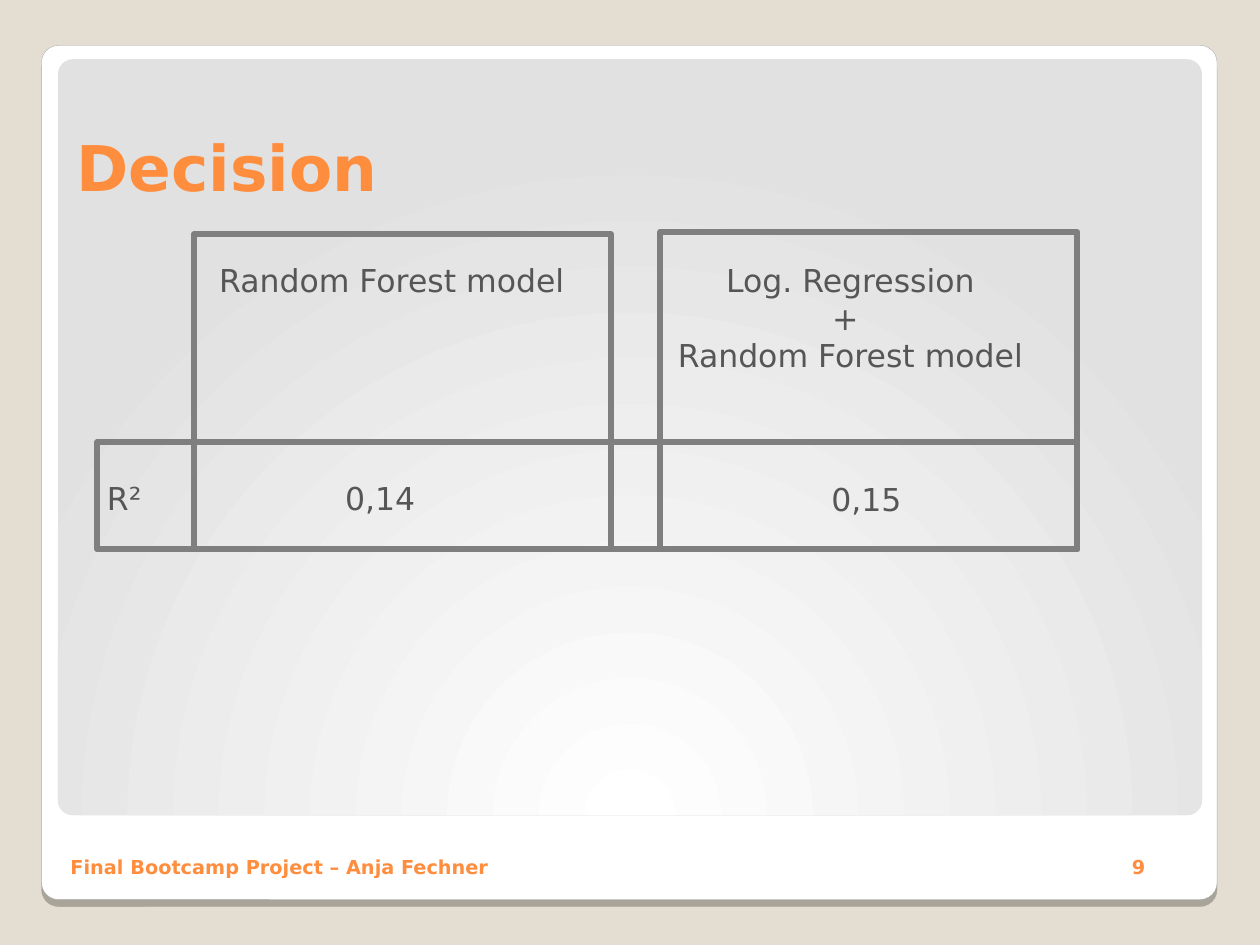
"""Build the Decision slide comparing the R² of two models."""
import pptx
import pptx.dml.color
import pptx.enum.shapes
import pptx.enum.text
import pptx.oxml
import pptx.oxml.ns
import pptx.util

Inches, Pt = pptx.util.Inches, pptx.util.Pt
RGB = pptx.dml.color.RGBColor.from_string
SHAPE = pptx.enum.shapes.MSO_SHAPE
ALIGN = pptx.enum.text.PP_ALIGN
ANCHOR = pptx.enum.text.MSO_ANCHOR
NS = pptx.oxml.ns.nsdecls("a")

THEME = {
    "font": "DejaVu Sans",
    "back": "E3DED1", "card": "FFFFFF", "edge": "A4A3A3",
    "glow": "FFFFFF", "rim": "E1E1E1", "frame": "7F7F7F",
    "title": {"size": Pt(36), "bold": True, "color": "FF8D3E"},
    "footer": {"size": Pt(11), "bold": True, "color": "FF8D3E"},
    "body": {"size": Pt(18), "bold": False, "color": "565656"},
}


def add_box(s, kind, box):
    sp = s.shapes.add_shape(kind, *map(Inches, box))
    sp.shadow.inherit = False
    return sp


def add_text(s, box, lines, style, align=ALIGN.LEFT, anchor=ANCHOR.TOP, wrap=True):
    tf = s.shapes.add_textbox(*map(Inches, box)).text_frame
    tf.word_wrap, tf.vertical_anchor = wrap, anchor
    for i, line in enumerate(lines):
        p = tf.add_paragraph() if i else tf.paragraphs[0]
        p.alignment = align
        r = p.add_run()
        r.text = line
        r.font.name = THEME["font"]
        for name, value in THEME[style].items():
            if name == "color":
                r.font.color.rgb = RGB(value)
            else:
                setattr(r.font, name, value)
    return tf


prs = pptx.Presentation()
prs.slide_width, prs.slide_height = Inches(10), Inches(7.5)
s = prs.slides.add_slide(prs.slide_layouts[6])
s.background.fill.solid()
s.background.fill.fore_color.rgb = RGB(THEME["back"])

card = add_box(s, SHAPE.ROUNDED_RECTANGLE, (0.33, 0.36, 9.33, 6.78))
card.adjustments[0] = 0.02
card.fill.solid()
card.fill.fore_color.rgb = RGB(THEME["card"])
card.line.color.rgb = RGB(THEME["edge"])
card.line.width = Pt(0.17)
effects = card._element.spPr.find(pptx.oxml.ns.qn("a:effectLst"))
effects.append(pptx.oxml.parse_xml(
    f'<a:outerShdw {NS} blurRad="0" dist="{Pt(4)}" dir="5400000" algn="t" rotWithShape="0">'
    '<a:srgbClr val="000000"><a:alpha val="25000"/></a:srgbClr></a:outerShdw>'))

panel = add_box(s, SHAPE.ROUNDED_RECTANGLE, (0.46, 0.47, 9.08, 6))
panel.adjustments[0] = 0.02
panel.line.fill.background()
panel._element.spPr.find(pptx.oxml.ns.qn("a:prstGeom")).addnext(pptx.oxml.parse_xml(
    f'<a:gradFill {NS} rotWithShape="1"><a:gsLst>'
    f'<a:gs pos="0"><a:srgbClr val="{THEME["glow"]}"/></a:gs>'
    f'<a:gs pos="100000"><a:srgbClr val="{THEME["rim"]}"/></a:gs></a:gsLst>'
    '<a:path path="circle"><a:fillToRect l="50000" t="175000" r="50000" b="-75000"/></a:path>'
    '</a:gradFill>'))

add_text(s, (0.51, 0.52, 8.95, 1.15), ["Decision"], "title", anchor=ANCHOR.BOTTOM)

footer = add_text(s, (0.51, 6.75, 9.06, 0.27), ["Final Bootcamp Project – Anja Fechner\t9"],
                  "footer", anchor=ANCHOR.BOTTOM)
for side in ("left", "top", "right", "bottom"):
    setattr(footer, f"margin_{side}", Inches(0.05))
p = footer.paragraphs[0]
p._p.get_or_add_pPr().append(pptx.oxml.parse_xml(
    f'<a:tabLst {NS}><a:tab pos="{Inches(8.53)}" algn="r"/></a:tabLst>'))
p.line_spacing = 0.8

add_text(s, (1.38, 2.02, 3.46, 0.4), ["Random Forest model"], "body", ALIGN.CENTER)
add_text(s, (5.02, 2.02, 3.46, 1.01), ["Log. Regression", "+ ", "Random Forest model"],
         "body", ALIGN.CENTER)
for label, left, top, width in (("R²", 0.75, 3.75, 0.51), ("0,14", 2.64, 3.75, 0.78),
                                ("0,15", 6.5, 3.76, 0.78)):
    add_text(s, (left, top, width, 0.4), [label], "body", wrap=False)

for box in ((1.54, 1.86, 3.31, 2.5), (5.24, 1.84, 3.31, 2.52), (0.77, 3.51, 7.78, 0.85)):
    frame = add_box(s, SHAPE.RECTANGLE, box)
    frame.fill.background()
    frame.line.color.rgb = RGB(THEME["frame"])
    frame.line.width = Pt(3.34)

prs.save("out.pptx")
